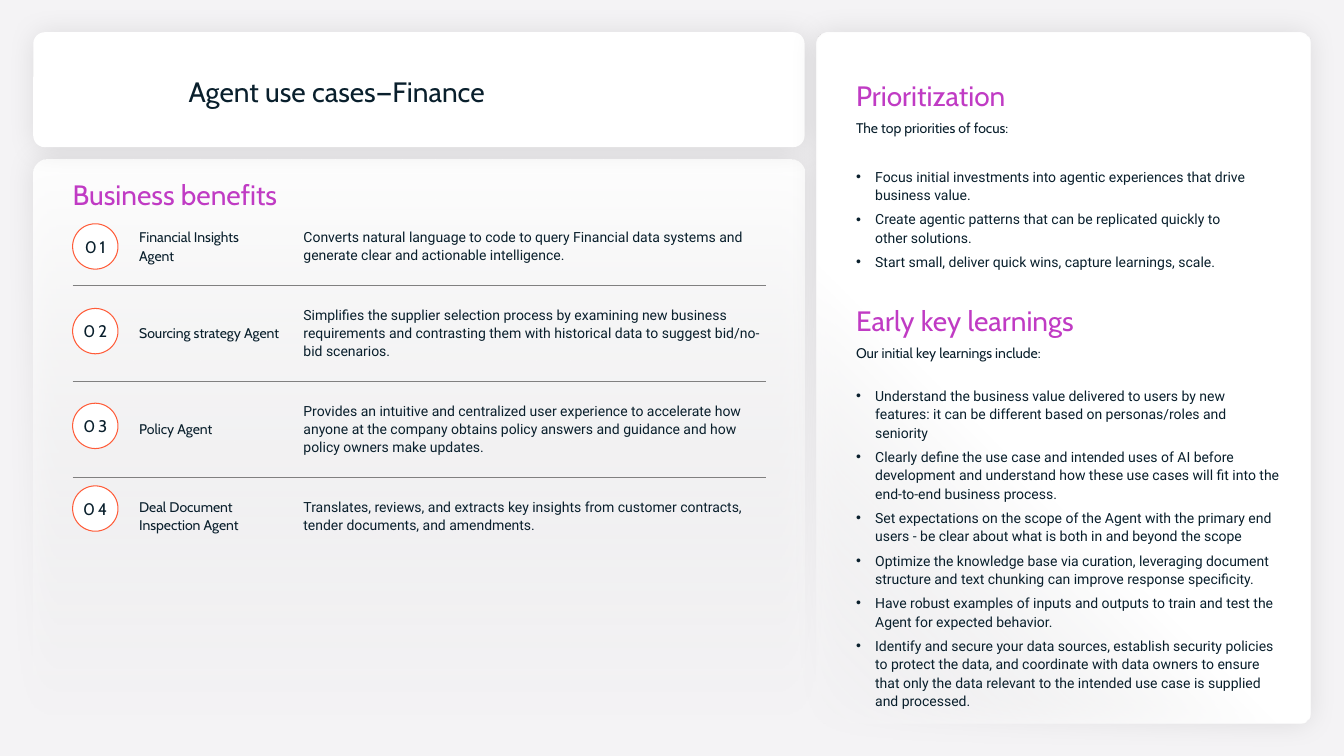
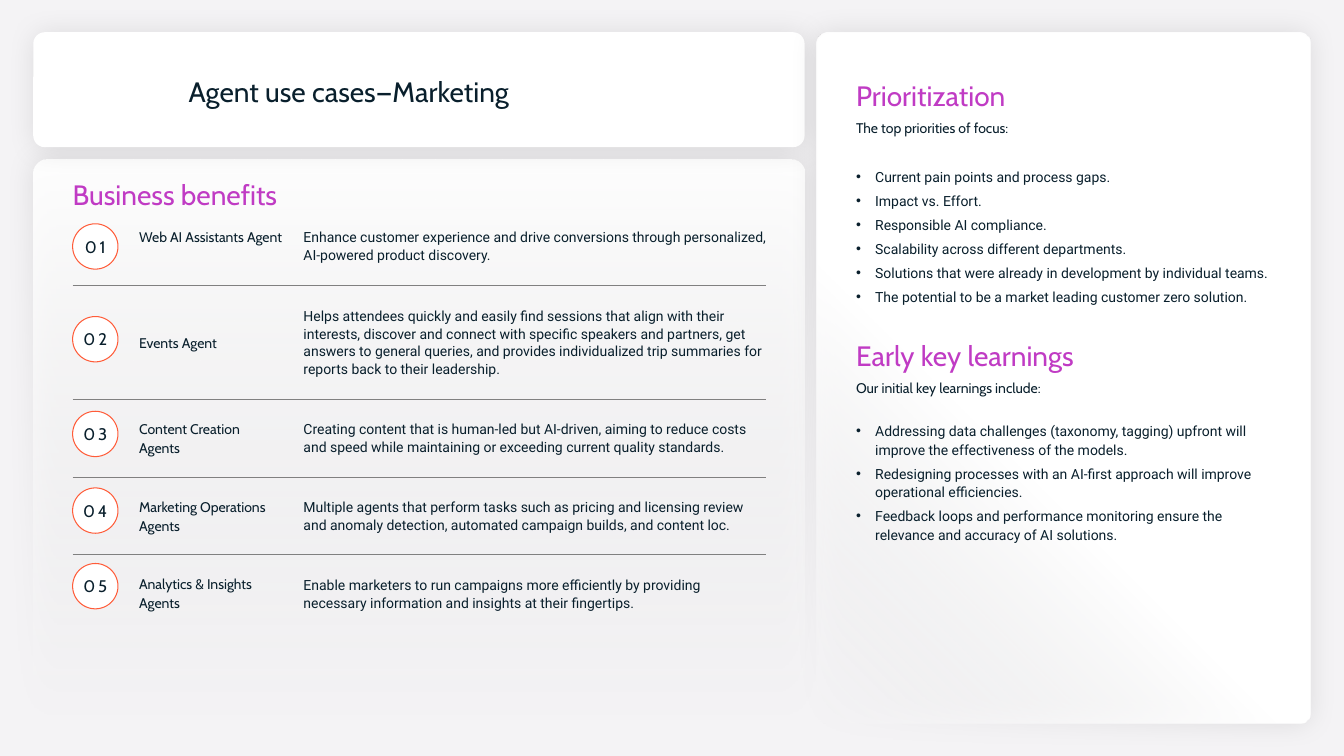
import copy

import pptx
import pptx.chart.data
import pptx.dml.color
import pptx.enum.shapes
import pptx.enum.text
import pptx.oxml
import pptx.oxml.ns
import pptx.util
from lxml import etree

Inches = pptx.util.Inches
Pt = pptx.util.Pt
qn = pptx.oxml.ns.qn
Shapes = pptx.enum.shapes.MSO_SHAPE
Anchor = pptx.enum.text.MSO_ANCHOR
Align = pptx.enum.text.PP_ALIGN

BACKGROUND = "F4F3F5"
WHITE = "FFFFFF"
INK = "091F2C"
ACCENT = "C03BC4"
RING = "FF5C39"
RULE = "808080"
HEAD_FONT = "Cabin"
BODY_FONT = "Roboto"
COLUMNS = (0.56, 1.63, 4.69)
BADGE_SIZE = 0.45
LINE_HEIGHT = 0.18

FINANCE = {
    "title": "Agent use cases—Finance",
    "agents": [
        (2.22, 2, "Financial Insights \nAgent",
         "Converts natural language to code to query Financial data systems and generate clear and actionable intelligence."),
        (3.06, 3, "Sourcing strategy Agent",
         "Simplifies the supplier selection process by examining new business requirements and contrasting them with historical data to suggest bid/no-bid scenarios."),
        (4.0, 3, "Policy Agent",
         "Provides an intuitive and centralized user experience to accelerate how anyone at the company obtains policy answers and guidance and how policy owners make updates."),
        (4.82, 2, "Deal Document Inspection Agent",
         "Translates, reviews, and extracts key insights from customer contracts, tender documents, and amendments."),
    ],
    "priorities": [
        "Focus initial investments into agentic experiences that drive business value.",
        "Create agentic patterns that can be replicated quickly to \nother solutions.",
        "Start small, deliver quick wins, capture learnings, scale.",
    ],
    "learnings": [
        "Understand the business value delivered to users by new features: it can be different based on personas/roles and seniority",
        "Clearly define the use case and intended uses of AI before development and understand how these use cases will fit into the end-to-end business process.",
        "Set expectations on the scope of the Agent with the primary end users - be clear about what is both in and beyond the scope",
        "Optimize the knowledge base via curation, leveraging document structure and text chunking can improve response specificity.",
        "Have robust examples of inputs and outputs to train and test the Agent for expected behavior.",
        "Identify and secure your data sources, establish security policies to protect the data, and coordinate with data owners to ensure that only the data relevant to the intended use case is supplied and processed.",
    ],
}

MARKETING = {
    "title": "Agent use cases—Marketing",
    "agents": [
        (2.22, 2, "Web AI Assistants Agent",
         "Enhance customer experience and drive conversions through personalized, AI-powered product discovery."),
        (3.14, 4, "Events Agent",
         "Helps attendees quickly and easily find sessions that align with their interests, discover and connect with specific speakers and partners, get answers to general queries, and provides individualized trip summaries for reports back to their leadership."),
        (4.08, 2, "Content Creation Agents",
         "Creating content that is human-led but AI-driven, aiming to reduce costs and speed while maintaining or exceeding current quality standards."),
        (4.84, 2, "Marketing Operations Agents",
         "Multiple agents that perform tasks such as pricing and licensing review and anomaly detection, automated campaign builds, and content loc."),
        (5.59, 2, "Analytics & Insights Agents",
         "Enable marketers to run campaigns more efficiently by providing necessary information and insights at their fingertips."),
    ],
    "priorities": [
        "Current pain points and process gaps.",
        "Impact vs. Effort.",
        "Responsible AI compliance.",
        "Scalability across different departments.",
        "Solutions that were already in development by individual teams.",
        "The potential to be a market leading customer zero solution.",
    ],
    "learnings": [
        "Addressing data challenges (taxonomy, tagging) upfront will improve the effectiveness of the models.",
        "Redesigning processes with an AI-first approach will improve operational efficiencies.",
        "Feedback loops and performance monitoring ensure the relevance and accuracy of AI solutions.",
    ],
}


def rgb(value):
    return pptx.dml.color.RGBColor.from_string(value)


def add_child(parent, tag, **attributes):
    return etree.SubElement(parent, qn(tag), {key: str(value) for key, value in attributes.items()})


def write(frame, text, size=10, font=HEAD_FONT, color=INK, align=None, line=1.1,
          before=0, after=4, bullet=False, spacing=0):
    paragraph = frame.paragraphs[0]
    if paragraph.runs:
        paragraph = frame.add_paragraph()
    paragraph.text = text
    paragraph.alignment = align
    paragraph.line_spacing = line
    paragraph.space_before = Pt(before)
    paragraph.space_after = Pt(after)
    if bullet:
        properties = paragraph._p.get_or_add_pPr()
        properties.set("marL", str(Inches(0.19)))
        properties.set("indent", str(-Inches(0.19)))
        add_child(properties, "a:buFont", typeface="Arial")
        add_child(properties, "a:buChar", char="•")
    for run in paragraph.runs:
        run.font.size = Pt(size)
        run.font.name = font
        run.font.color.rgb = rgb(color)
        if spacing:
            run.font._element.set("spc", str(spacing * 100))
    for line_break in paragraph._p.findall(qn("a:br")):
        line_break.append(copy.deepcopy(paragraph.runs[0].font._element))


def set_frame(frame, anchor=Anchor.TOP, wrap=True):
    frame.word_wrap = wrap
    frame.vertical_anchor = anchor
    frame.margin_left = frame.margin_top = frame.margin_right = frame.margin_bottom = 0


def add_text_box(slide, box, anchor=Anchor.TOP):
    frame = slide.shapes.add_textbox(*map(Inches, box)).text_frame
    set_frame(frame, anchor)
    return frame


def add_panel(slide, box, rounding, fade=None):
    shape = slide.shapes.add_shape(Shapes.ROUNDED_RECTANGLE, *map(Inches, box))
    shape.adjustments[0] = rounding
    if fade:
        start, angle = fade
        shape.fill.gradient()
        shape.fill.gradient_angle = 360 - angle
        for stop, position in zip(shape.fill.gradient_stops, (start, 1)):
            stop.position = position
            stop.color.rgb = rgb(WHITE)
        last_color = shape._element.spPr.findall(".//" + qn("a:srgbClr"))[-1]
        add_child(last_color, "a:alpha", val=0)
    else:
        shape.fill.solid()
        shape.fill.fore_color.rgb = rgb(WHITE)
    shape.line.fill.background()
    shape.shadow.inherit = False
    effects = shape._element.spPr.find(qn("a:effectLst"))
    shadow = add_child(effects, "a:outerShdw", blurRad=Pt(20), dist=0, dir=45 * 60000,
                       algn="ctr", rotWithShape=0)
    add_child(add_child(shadow, "a:srgbClr", val="000000"), "a:alpha", val=10000)


def set_borders(cell, ruled_sides):
    properties = cell._tc.get_or_add_tcPr()
    for index, side in enumerate("LRTB"):
        border = etree.Element(qn("a:ln" + side), {"w": str(Pt(0.5))})
        if side in ruled_sides:
            add_child(add_child(border, "a:solidFill"), "a:srgbClr", val=RULE)
        else:
            add_child(border, "a:noFill")
        properties.insert(index, border)


def add_badge(slide, left, top, label):
    shape = slide.shapes.add_shape(Shapes.OVAL, *map(Inches, (left, top, BADGE_SIZE, BADGE_SIZE)))
    shape.fill.solid()
    shape.fill.fore_color.rgb = rgb(WHITE)
    shape.line.color.rgb = rgb(RING)
    shape.line.width = Pt(0.75)
    shape.shadow.inherit = False
    set_frame(shape.text_frame, Anchor.MIDDLE, wrap=False)
    write(shape.text_frame, label, size=12, align=Align.CENTER, line=1, after=0, spacing=2)


def add_agent_table(slide, left, top, agents):
    margins = [0.15 if row == 0 else 0.2 for row in range(len(agents))]
    heights = [margin + 0.21 + LINE_HEIGHT * agent[1] for margin, agent in zip(margins, agents)]
    table = slide.shapes.add_table(len(agents), len(COLUMNS), Inches(left), Inches(top),
                                   Inches(sum(COLUMNS)), Inches(sum(heights))).table
    table.first_row = table.horz_banding = False
    for column, width in zip(table.columns, COLUMNS):
        column.width = Inches(width)
    last = len(agents) - 1
    for index, (badge_top, _, name, benefit) in enumerate(agents):
        table.rows[index].height = Inches(heights[index])
        sides = ("T" if index else "") + ("B" if index < last else "")
        for cell, text, font, right in zip(table.rows[index].cells, ("", name, benefit),
                                           (HEAD_FONT, HEAD_FONT, BODY_FONT), (0.1, 0.1, 0)):
            cell.fill.background()
            set_borders(cell, sides)
            cell.vertical_anchor = Anchor.MIDDLE if index else Anchor.TOP
            cell.margin_left = Inches(0.1)
            cell.margin_right = Inches(right)
            cell.margin_top = Inches(margins[index])
            cell.margin_bottom = Inches(0.2)
            if text:
                write(cell.text_frame, text, font=font)
        add_badge(slide, left, badge_top, f"{index + 1:02d}")


def add_title_panel(slide, box, title):
    left, top, width, height = box
    add_panel(slide, box, 0.1)
    frame = add_text_box(slide, (left + 1.54, top + 0.4, 5.26, 0.34), Anchor.MIDDLE)
    write(frame, title, size=20, after=0)


def add_benefits_panel(slide, box, agents):
    left, top, width, height = box
    add_panel(slide, box, 0.024, fade=(0, 90))
    frame = add_text_box(slide, (left + 0.39, top + 0.16, 6.46, 0.34), Anchor.MIDDLE)
    write(frame, "Business benefits", size=20, color=ACCENT)
    add_agent_table(slide, left + 0.39, top + 0.53, agents)


def add_insights_panel(slide, box, priorities, learnings):
    left, top, width, height = box
    add_panel(slide, box, 0.023, fade=(0.61, 135))
    frame = add_text_box(slide, (left + 0.39, top + 0.43, 4.22, 6))
    sections = (
        ("Prioritization", "The top priorities of focus:", priorities, 0, 21.4),
        ("Early key learnings", "Our initial key learnings include:", learnings, 17.5, 17.4),
    )
    for heading, lead, points, before, after in sections:
        write(frame, heading, size=20, color=ACCENT, before=before)
        write(frame, lead, after=after)
        for point in points:
            write(frame, point, font=BODY_FONT, bullet=True)


def add_use_case_slide(presentation, content):
    slide = presentation.slides.add_slide(presentation.slide_layouts[6])
    slide.background.fill.solid()
    slide.background.fill.fore_color.rgb = rgb(BACKGROUND)
    add_benefits_panel(slide, (0.33, 1.58, 7.65, 5.6), content["agents"])
    add_title_panel(slide, (0.33, 0.32, 7.65, 1.14), content["title"])
    add_insights_panel(slide, (8.1, 0.32, 4.9, 6.86), content["priorities"], content["learnings"])


def main():
    presentation = pptx.Presentation()
    presentation.slide_width = Inches(13.33)
    presentation.slide_height = Inches(7.5)
    for content in (FINANCE, MARKETING):
        add_use_case_slide(presentation, content)
    presentation.save("out.pptx")


if __name__ == "__main__":
    main()
